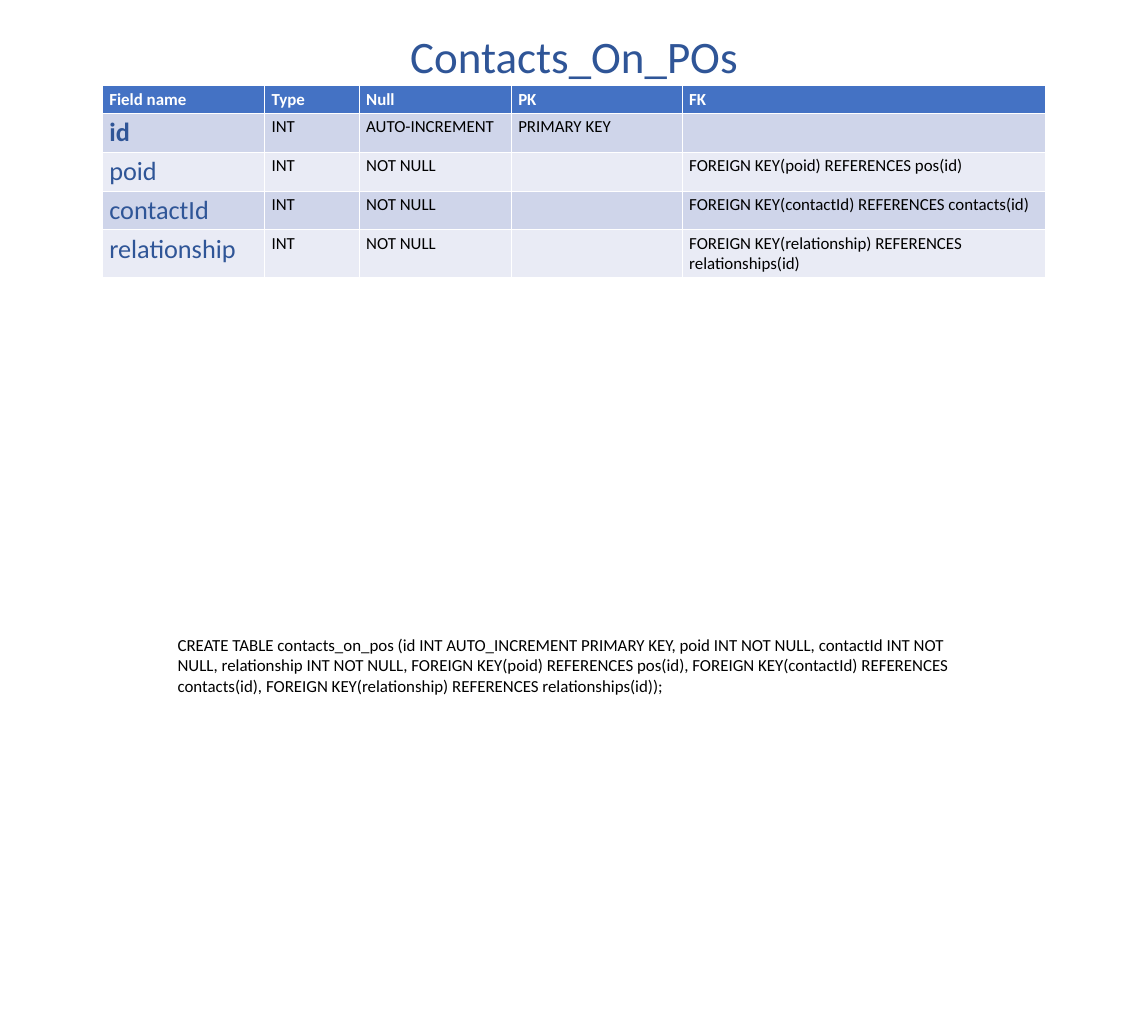
from pptx import Presentation
from pptx.dml.color import RGBColor
from pptx.enum.text import MSO_ANCHOR, MSO_AUTO_SIZE, PP_ALIGN
from pptx.util import Cm, Pt

TITLE = "Contacts_On_POs"
HEADER = ("Field name", "Type", "Null", "PK", "FK")
FIELDS = [
    ("id", "INT", "AUTO-INCREMENT", "PRIMARY KEY", ""),
    ("poid", "INT", "NOT NULL", "", "FOREIGN KEY(poid) REFERENCES pos(id)"),
    ("contactId", "INT", "NOT NULL", "", "FOREIGN KEY(contactId) REFERENCES contacts(id)"),
    ("relationship", "INT", "NOT NULL", "",
     "FOREIGN KEY(relationship) REFERENCES relationships(id)"),
]
STATEMENT = (
    "CREATE TABLE contacts_on_pos (id INT AUTO_INCREMENT PRIMARY KEY, "
    "poid INT NOT NULL, contactId INT NOT NULL, relationship INT NOT NULL, "
    "FOREIGN KEY(poid) REFERENCES pos(id), "
    "FOREIGN KEY(contactId) REFERENCES contacts(id), "
    "FOREIGN KEY(relationship) REFERENCES relationships(id));"
)
COLORS = {"heading": "2F5597", "header": "4472C4", "odd": "CFD5EA",
          "even": "E9EBF5", "white": "FFFFFF", "text": "000000"}
COLUMN_WIDTHS = (6.1, 3.56, 5.72, 6.43, 13.65)
ROW_HEIGHTS = (1.03, 1.46, 1.46, 1.46, 1.8)


def color(name):
    return RGBColor.from_string(COLORS[name])


def write(frame, text, size, color_name, bold=False):
    frame.text = text
    for span in frame.paragraphs[0].runs:
        span.font.name = "Calibri"
        span.font.size = Pt(size)
        span.font.bold = bold
        span.font.color.rgb = color(color_name)


deck = Presentation()
deck.slide_width, deck.slide_height = Cm(43.18), Cm(38.1)
page = deck.slides.add_slide(deck.slide_layouts[5])

# Field table
rows = [HEADER, *FIELDS]
table = page.shapes.add_table(
    len(rows), len(HEADER), Cm(3.86), Cm(3.23),
    Cm(sum(COLUMN_WIDTHS)), Cm(sum(ROW_HEIGHTS))).table
for column, width in zip(table.columns, COLUMN_WIDTHS):
    column.width = Cm(width)
for row, height in zip(table.rows, ROW_HEIGHTS):
    row.height = Cm(height)

for r, values in enumerate(rows):
    band = "header" if r == 0 else "odd" if r % 2 else "even"
    for c, value in enumerate(values):
        cell = table.cell(r, c)
        cell.fill.solid()
        cell.fill.fore_color.rgb = color(band)
        if r == 0:
            write(cell.text_frame, value, 18, "white", bold=True)
        elif c == 0:
            write(cell.text_frame, value, 28, "heading", bold=value == "id")
        else:
            write(cell.text_frame, value, 18, "text")

# Title
title = page.shapes.title
title.left, title.top, title.width, title.height = Cm(14.99), Cm(0.94), Cm(13.2), Cm(2.31)
write(title.text_frame, TITLE, 48, "heading")
title.text_frame.auto_size = MSO_AUTO_SIZE.NONE
title.text_frame.word_wrap = False
title.text_frame.vertical_anchor = MSO_ANCHOR.TOP
title.text_frame.paragraphs[0].alignment = PP_ALIGN.CENTER

# SQL statement
box = page.shapes.add_textbox(Cm(6.43), Cm(23.75), Cm(30.1), Cm(2.57))
box.text_frame.word_wrap = True
write(box.text_frame, STATEMENT, 18, "text")

deck.save("out.pptx")
